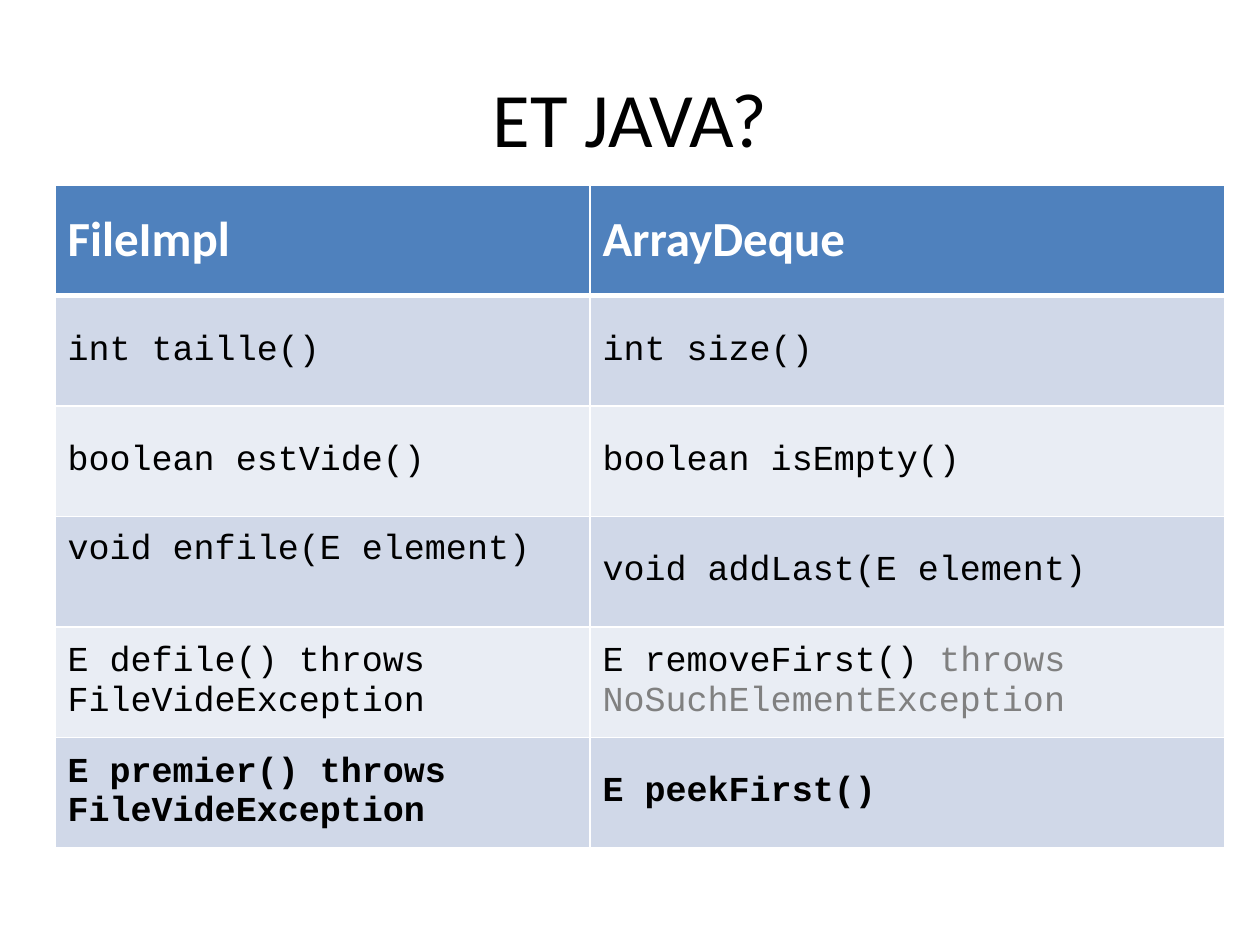
from lxml.etree import SubElement
from pptx import Presentation
from pptx.dml.color import RGBColor as RGB
from pptx.enum.text import MSO_ANCHOR as ANCHOR, PP_ALIGN as ALIGN
from pptx.oxml.ns import qn
from pptx.util import Pt

PX = 914400 / 126
C = {"black": "000000", "white": "FFFFFF", "blue": "4F81BD",
     "band1": "D0D8E8", "band2": "E9EDF4", "gray": "808080"}


def px(n):
    return round(n * PX)


def border(cell, side, width):
    ln = SubElement(cell._tc.get_or_add_tcPr(), qn(f"a:{side}"), w=str(Pt(width)))
    fill = SubElement(ln, qn("a:solidFill"))
    SubElement(fill, qn("a:srgbClr"), val=C["white"])


prs = Presentation()
prs.slide_width, prs.slide_height = px(1260), px(945)
s = prs.slides.add_slide(prs.slide_layouts[6])

tf = s.shapes.add_textbox(px(63), px(38), px(1134), px(157)).text_frame
tf.word_wrap = True
tf.vertical_anchor = ANCHOR.MIDDLE
p = tf.paragraphs[0]
p.text = "ET JAVA?"
p.alignment = ALIGN.CENTER
p.font.name, p.font.size = "Calibri", Pt(44)
p.font.color.rgb = RGB.from_string(C["black"])

rows = [
    ("FileImpl", "ArrayDeque"),
    ("int taille()", "int size()"),
    ("boolean estVide()", "boolean isEmpty()"),
    ("void enfile(E element)", "void addLast(E element)"),
    ("E defile() throws FileVideException",
     "E removeFirst() \nNoSuchElementException"),
    ("E premier() throws FileVideException", "E peekFirst()"),
]
table = s.shapes.add_table(len(rows), 2, px(55), px(185), px(1170), px(663)).table
for col, width in zip(table.columns, (535, 635)):
    col.width = px(width)

for i, texts in enumerate(rows):
    table.rows[i].height = px(663 / len(rows))
    head = i == 0
    band = "blue" if head else "band1" if i % 2 else "band2"
    for j, text in enumerate(texts):
        cell = table.cell(i, j)
        cell.vertical_anchor = ANCHOR.MIDDLE
        for side, width in (("lnL", 1), ("lnR", 1), ("lnT", 3 if i == 1 else 1),
                            ("lnB", 3 if head else 1)):
            border(cell, side, width)
        cell.fill.solid()
        cell.fill.fore_color.rgb = RGB.from_string(C[band])
        cell.text = text
        for p in cell.text_frame.paragraphs:
            p.font.name = "Calibri" if head else "Courier New"
            p.font.size = Pt(28 if head else 20)
            p.font.bold = head or i == len(rows) - 1
            p.font.color.rgb = RGB.from_string(C["white" if head else "black"])

cell = table.cell(3, 0)
cell.vertical_anchor = ANCHOR.TOP
cell.margin_top = px(14)

first, second = table.cell(4, 1).text_frame.paragraphs
r = first.add_run()
r.text = "throws"
for r in (r, second.runs[0]):
    r.font.color.rgb = RGB.from_string(C["gray"])

prs.save("out.pptx")
